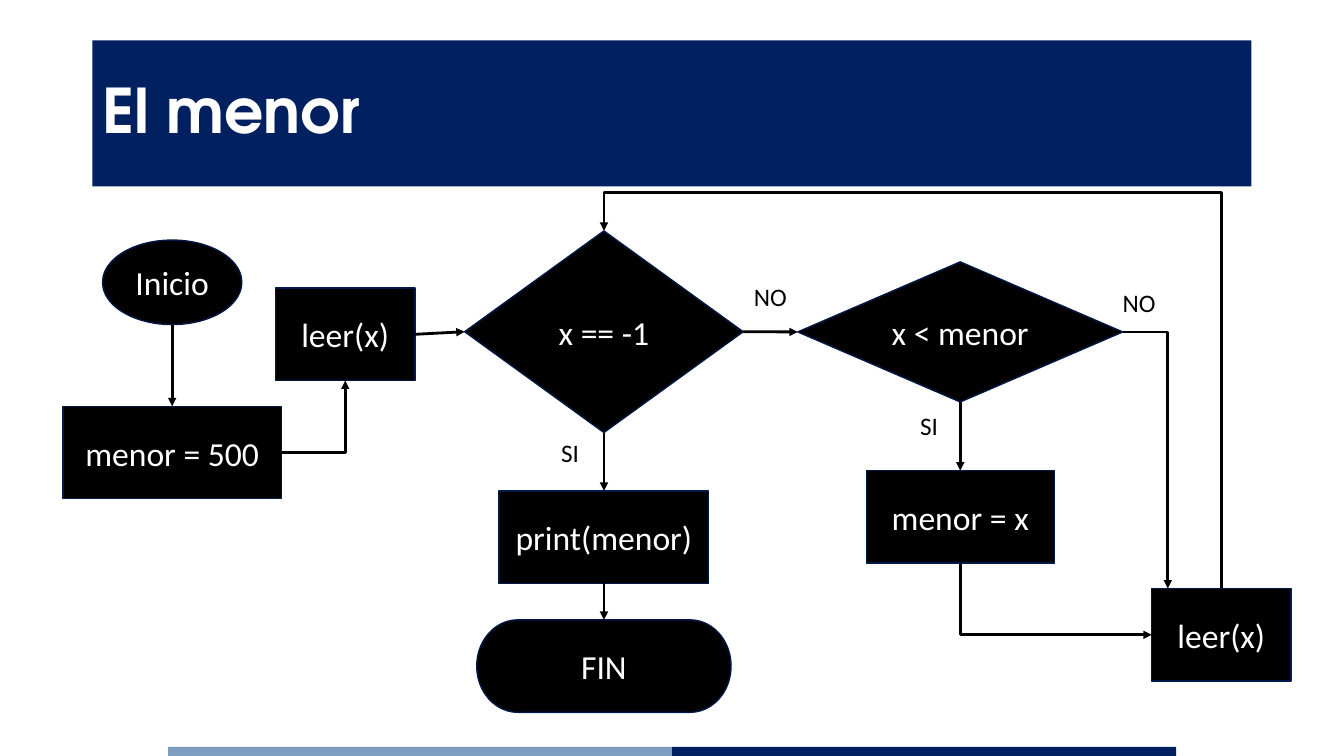
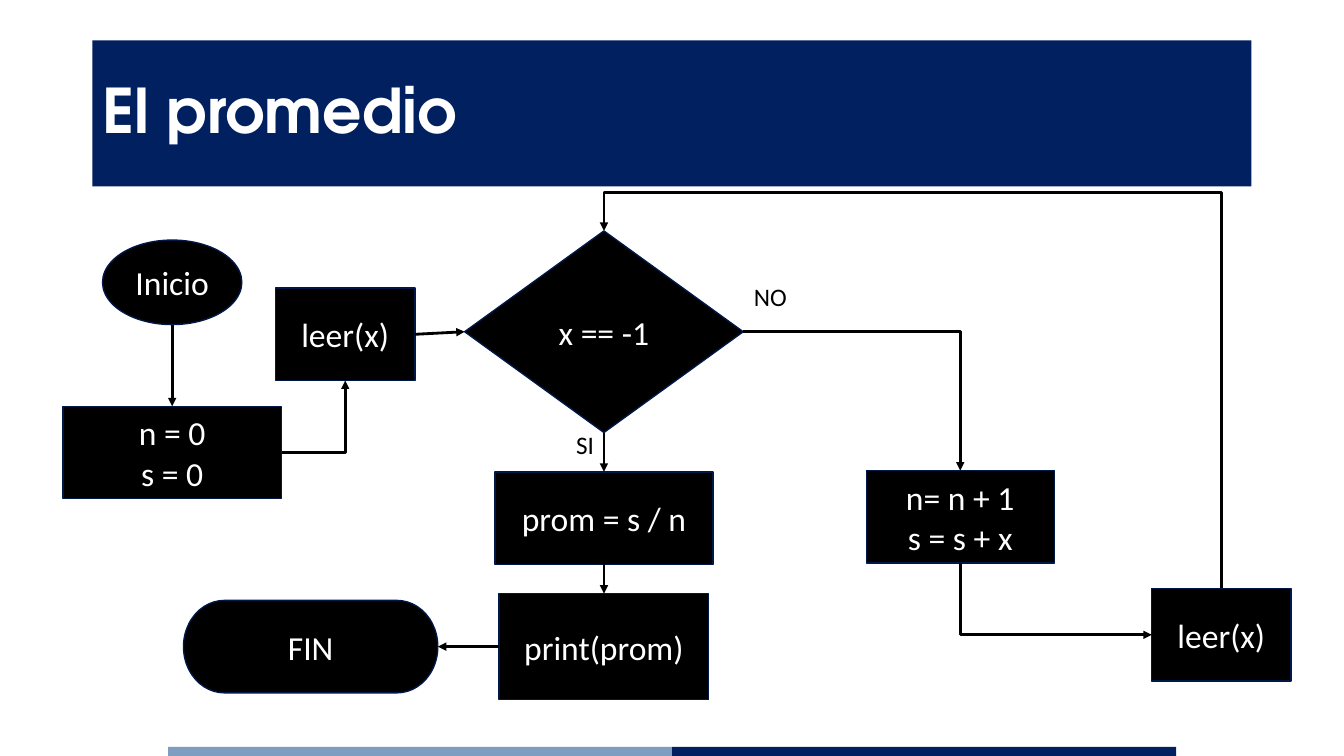
from lxml.etree import SubElement
from pptx import Presentation
from pptx.dml.color import RGBColor
from pptx.enum.shapes import MSO_CONNECTOR, MSO_SHAPE
from pptx.enum.text import MSO_ANCHOR, PP_ALIGN
from pptx.oxml.ns import qn
from pptx.util import Cm, Pt

NAVY = RGBColor(0x00, 0x20, 0x60)
STEEL = RGBColor(0x7D, 0x9E, 0xC0)
OUTLINE = RGBColor(0x00, 0x18, 0x47)
BLACK = RGBColor(0x00, 0x00, 0x00)
WHITE = RGBColor(0xFF, 0xFF, 0xFF)
TITLE_FONT, BODY_FONT = "TeX Gyre Adventor", "Calibri"

OVAL, PROCESS = MSO_SHAPE.OVAL, MSO_SHAPE.FLOWCHART_PROCESS
DECISION, TERMINATOR = MSO_SHAPE.FLOWCHART_DECISION, MSO_SHAPE.FLOWCHART_TERMINATOR
TOP, LEFT, BOTTOM, RIGHT = range(4)

TITLE_BOX = Cm(2.33), Cm(1.02), Cm(29.21), Cm(3.68)
FOOTER_BOX = Cm(4.24), Cm(18.82), Cm(25.4), Cm(0.23)
FLOW_ORIGIN = Cm(1.58), Cm(4.85)
START_X, READ_X, TEST_X, STORE_X, NEXT_X = 2.76, 7.12, 13.64, 22.62, 29.2
STEP_H = 2.33


def write(tf, text, size, color, font=BODY_FONT, align=PP_ALIGN.LEFT, bold=False):
    """Fill a text frame with evenly formatted paragraphs."""
    tf.text = text
    tf.word_wrap = True
    for p in tf.paragraphs:
        p.alignment = align
        for r in p.runs:
            r.font.name, r.font.size, r.font.bold = font, Pt(size), bold
            r.font.color.rgb = color


def solid(s, kind, box, fill):
    """Add a filled shape without outline or shadow."""
    sp = s.shapes.add_shape(kind, *box)
    sp.shadow.inherit = False
    sp.fill.solid()
    sp.fill.fore_color.rgb = fill
    sp.line.fill.background()
    return sp


def title_band(s, box, text):
    """Draw the title band."""
    tf = solid(s, MSO_SHAPE.RECTANGLE, box, NAVY).text_frame
    write(tf, text, 44, WHITE, TITLE_FONT, bold=True)
    tf.vertical_anchor = MSO_ANCHOR.MIDDLE
    tf.paragraphs[0].line_spacing = 0.9


def footer(s, box):
    """Draw the two-tone strip at the foot of the slide."""
    left, top, width, height = box
    half = width // 2
    for i, color in enumerate((STEEL, NAVY)):
        solid(s, MSO_SHAPE.RECTANGLE, (left + i * half, top, half, height), color)


def node(s, origin, kind, text, cx, top, width, height=STEP_H):
    """Add a flowchart step centred on cx, in centimetres from the origin."""
    box = origin[0] + Cm(cx - width / 2), origin[1] + Cm(top), Cm(width), Cm(height)
    sp = solid(s, kind, box, BLACK)
    sp.line.color.rgb = OUTLINE
    sp.line.width = Pt(1)
    write(sp.text_frame, text, 24, WHITE, align=PP_ALIGN.CENTER)
    sp.text_frame.vertical_anchor = MSO_ANCHOR.MIDDLE
    return sp


def label(s, origin, text, left, top):
    """Add the answer beside a branch."""
    sp = s.shapes.add_textbox(origin[0] + Cm(left), origin[1] + Cm(top), Cm(1.63), Cm(1.02))
    write(sp.text_frame, text, 18, BLACK)


def site(sp, side):
    """Return the middle of one side of a shape."""
    cx, cy = sp.left + sp.width // 2, sp.top + sp.height // 2
    return {TOP: (cx, sp.top), LEFT: (sp.left, cy),
            BOTTOM: (cx, sp.top + sp.height), RIGHT: (sp.left + sp.width, cy)}[side]


def turn(con):
    """Make an elbow leave its start vertically."""
    x1, y1, x2, y2 = con.begin_x, con.begin_y, con.end_x, con.end_y
    width, height = abs(y2 - y1), abs(x2 - x1)
    con.left, con.top = (x1 + x2 - width) // 2, (y1 + y2 - height) // 2
    con.width, con.height = width, height
    xfrm = con._element.spPr.find(qn("a:xfrm"))
    xfrm.set("rot", "16200000")
    xfrm.set("flipH", str(int(y2 > y1)))
    xfrm.set("flipV", str(int(x2 < x1)))


def link(s, start, side, end, end_side, shift=0, lane=None):
    """Join two shapes by an arrow; the sides decide whether it bends."""
    straight = abs(side - end_side) == 2
    (x1, y1), (x2, y2) = site(start, side), site(end, end_side)
    kind = MSO_CONNECTOR.STRAIGHT if straight else MSO_CONNECTOR.ELBOW
    con = s.shapes.add_connector(kind, x1, y1, x2 + shift, y2)
    con.begin_connect(start, side)
    if start.auto_shape_type == OVAL:
        next(con._element.iter(qn("a:stCxn"))).set("idx", str(2 * side))
    if not shift:
        con.end_connect(end, end_side)
    con.line.color.rgb = BLACK
    con.line.width = Pt(2)
    spPr = con._element.spPr
    SubElement(spPr.find(qn("a:ln")), qn("a:tailEnd"), type="triangle")
    SubElement(spPr, qn("a:effectLst"))
    if straight:
        return
    geom = spPr.find(qn("a:prstGeom"))
    if lane is None:
        geom.set("prst", "bentConnector2")
    else:
        reach = round(100000 * (y1 - lane) / (y1 - y2))
        SubElement(geom.find(qn("a:avLst")), qn("a:gd"), name="adj1", fmla=f"val {reach}")
    if side in (TOP, BOTTOM):
        turn(con)


def reading_loop(s, origin, setup, update):
    """Draw the loop both flowcharts share; return its test, update and next read."""
    start = node(s, origin, OVAL, "Inicio", START_X, 1.2, 3.51, 2.13)
    init = node(s, origin, PROCESS, setup, START_X, 5.39, 5.51)
    first = node(s, origin, PROCESS, "leer(x)", READ_X, 2.41, 3.51)
    test = node(s, origin, DECISION, "x == -1", TEST_X, 0.97, 7.02, 5.08)
    store = node(s, origin, PROCESS, update, STORE_X, 7.01, 4.74)
    following = node(s, origin, PROCESS, "leer(x)", NEXT_X, 9.98, 3.51)
    label(s, origin, "NO", 17.17, 2.11)
    link(s, start, BOTTOM, init, TOP)
    link(s, init, RIGHT, first, BOTTOM)
    link(s, first, RIGHT, test, LEFT)
    link(s, store, BOTTOM, following, LEFT)
    link(s, following, TOP, test, TOP, lane=origin[1])
    return test, store, following


def minimum_flow(s, origin):
    """Draw the flowchart that finds the smallest value."""
    test, store, following = reading_loop(s, origin, "menor = 500", "menor = x")
    compare = node(s, origin, DECISION, "x < menor", STORE_X, 1.75, 8.19, 3.53)
    show = node(s, origin, PROCESS, "print(menor)", TEST_X, 7.52, 5.28)
    end = node(s, origin, TERMINATOR, "FIN", TEST_X, 10.77, 6.41)
    label(s, origin, "SI", 12.31, 6.05)
    label(s, origin, "SI", 21.36, 5.36)
    label(s, origin, "NO", 26.46, 2.26)
    link(s, test, RIGHT, compare, LEFT)
    link(s, test, BOTTOM, show, TOP)
    link(s, show, BOTTOM, end, TOP)
    link(s, compare, BOTTOM, store, TOP)
    link(s, compare, RIGHT, following, TOP, shift=Cm(-1.35))


def average_flow(s, origin):
    """Draw the flowchart that computes the average."""
    test, store, _ = reading_loop(s, origin, "n = 0\ns = 0", "n= n + 1\ns = s + x")
    divide = node(s, origin, PROCESS, "prom = s / n", TEST_X, 7.04, 5.49)
    show = node(s, origin, PROCESS, "print(prom)", TEST_X, 10.11, 5.28, 2.67)
    end = node(s, origin, TERMINATOR, "FIN", 6.25, 10.28, 6.41)
    label(s, origin, "SI", 12.69, 5.84)
    link(s, test, RIGHT, store, TOP)
    link(s, test, BOTTOM, divide, TOP)
    link(s, divide, BOTTOM, show, TOP)
    link(s, show, LEFT, end, RIGHT)


def main():
    """Build and save the presentation."""
    prs = Presentation()
    prs.slide_width, prs.slide_height = Cm(33.87), Cm(19.05)
    for title, flow in (("El menor", minimum_flow), ("El promedio", average_flow)):
        s = prs.slides.add_slide(prs.slide_layouts[6])
        footer(s, FOOTER_BOX)
        title_band(s, TITLE_BOX, title)
        flow(s, FLOW_ORIGIN)
    prs.save("out.pptx")


if __name__ == "__main__":
    main()
